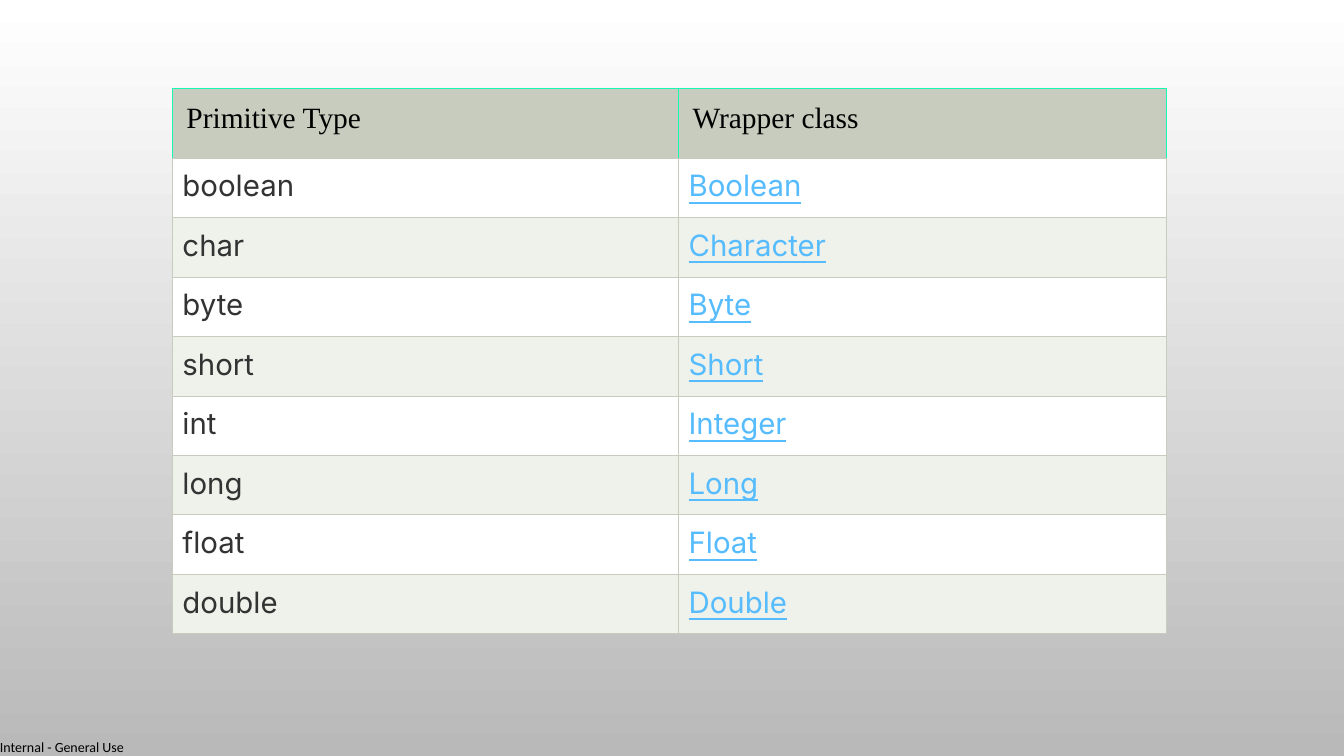
from lxml import etree
from pptx import Presentation
from pptx.dml.color import RGBColor
from pptx.enum import text
from pptx.oxml import ns
from pptx.util import Inches, Pt

COLORS = {
    "bg_top": "FFFFFF", "bg_bottom": "B9B9B9",
    "black": "000000", "body": "333333", "wrapper": "56BCFE",
    "grid": "C7CCBE", "accent": "18F8B4",
    "header": "C7CCBE", "odd": "FFFFFF", "even": "EFF1EB",
}
ROWS = [
    ("Primitive Type", "Wrapper class"),
    ("boolean", "Boolean"),
    ("char", "Character"),
    ("byte", "Byte"),
    ("short", "Short"),
    ("int", "Integer"),
    ("long", "Long"),
    ("float", "Float"),
    ("double", "Double"),
]


def write(tf, content, size, font, color, align=None, underline=None, inset=0):
    tf.margin_left = tf.margin_right = Inches(inset)
    tf.margin_top = tf.margin_bottom = Inches(inset)
    p = tf.paragraphs[0]
    p.alignment = align
    r = p.add_run()
    r.text = content
    r.font.size = Pt(size)
    r.font.name = font
    r.font.underline = underline
    r.font.color.rgb = RGBColor.from_string(COLORS[color])


def add_border(cell, side, color):
    """Draw one side (L, R, T or B, in that order) of a cell; call before filling."""
    ln = etree.SubElement(cell._tc.get_or_add_tcPr(), ns.qn(f"a:ln{side}"), w=str(Pt(0.75)))
    fill = etree.SubElement(ln, ns.qn("a:solidFill"))
    etree.SubElement(fill, ns.qn("a:srgbClr"), val=COLORS[color])


prs = Presentation()
prs.slide_width = Inches(13.33)
prs.slide_height = Inches(7.5)
s = prs.slides.add_slide(prs.slide_layouts[6])

bg = s.background.fill
bg.gradient()
bg.gradient_angle = 270
for stop, name in zip(bg.gradient_stops, ("bg_top", "bg_bottom")):
    stop.color.rgb = RGBColor.from_string(COLORS[name])

label = s.shapes.add_textbox(Inches(0), Inches(7.33), Inches(1.27), Inches(0.17))
write(label.text_frame, "Internal - General Use", 10, "Calibri", "black")

frame = s.shapes.add_table(len(ROWS), 2, Inches(1.71), Inches(0.88), Inches(9.86), Inches(5.41))
table = frame.table
table.horz_banding = False
for column, width in zip(table.columns, (5.02, 4.84)):
    column.width = Inches(width)

for i, names in enumerate(ROWS):
    is_header = i == 0
    table.rows[i].height = Inches(0.69 if is_header else 0.59)
    for j, name in enumerate(names):
        cell = table.cell(i, j)
        for side in "LRTB":
            add_border(cell, side, "accent" if is_header and side != "B" else "grid")
        cell.fill.solid()
        band = "header" if is_header else "odd" if i % 2 else "even"
        cell.fill.fore_color.rgb = RGBColor.from_string(COLORS[band])
        inset = 0.14 if is_header else 0.1
        cell.margin_left = cell.margin_right = Inches(inset)
        cell.margin_top = cell.margin_bottom = Inches(inset)
        p = cell.text_frame.paragraphs[0]
        r = p.add_run()
        r.text = name
        r.font.size = Pt(21)
        r.font.bold = False
        if is_header:
            r.font.name, color = "Times New Roman", "black"
        else:
            p.alignment = text.PP_ALIGN.JUSTIFY
            r.font.name = "Inter"
            r.font.underline = j == 1
            color = "wrapper" if j == 1 else "body"
        r.font.color.rgb = RGBColor.from_string(COLORS[color])

prs.save("out.pptx")
